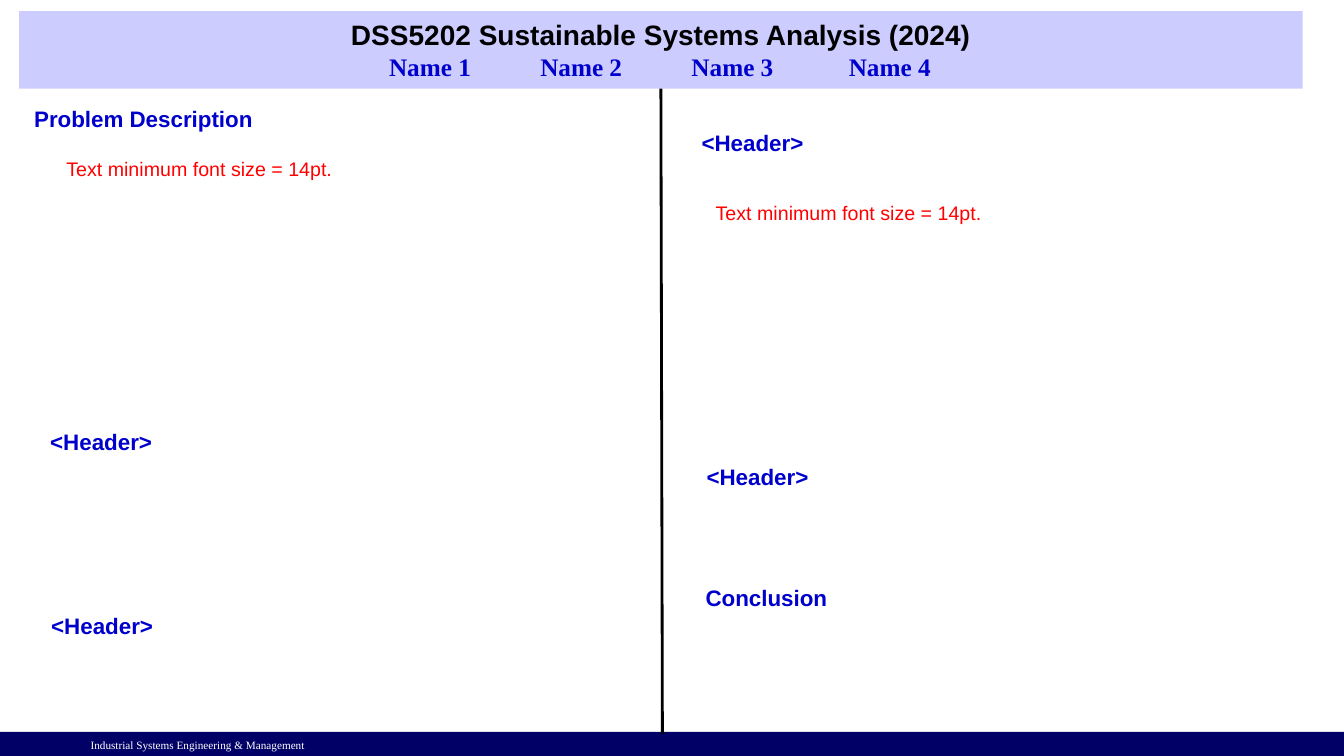
from lxml import etree
from pptx import Presentation
from pptx.dml.color import RGBColor
from pptx.enum.shapes import MSO_CONNECTOR, MSO_SHAPE
from pptx.enum.text import MSO_ANCHOR, PP_ALIGN
from pptx.oxml.ns import qn
from pptx.util import Inches, Pt

RECTANGLE = MSO_SHAPE.RECTANGLE
STRAIGHT = MSO_CONNECTOR.STRAIGHT
MIDDLE = MSO_ANCHOR.MIDDLE
CENTER = PP_ALIGN.CENTER
LEFT = PP_ALIGN.LEFT

COLORS = {
    "band": "CCCCFF",
    "footer": "000066",
    "title": "000000",
    "heading": "0000CC",
    "hint": "FF0000",
    "white": "FFFFFF",
}
SANS = "Arial"
SERIF = "Times New Roman"
HINT = "Text minimum font size = 14pt."
NAMES = ["Name 1", "Name 2", "Name 3", "Name 4"]
NAME_STOPS = [3.57, 5.07, 6.57, 8.13]
BOTTOM_SIDE = 2


def rgb(name):
    return RGBColor.from_string(COLORS[name])


def write(paragraph, text, size, font, color, bold=False):
    paragraph.text = text
    for run in paragraph.runs:
        run.font.size = Pt(size)
        run.font.name = font
        run.font.bold = bold
        run.font.color.rgb = rgb(color)


def add_bar(slide, box, color):
    bar = slide.shapes.add_shape(RECTANGLE, *map(Inches, box))
    bar.shadow.inherit = False
    bar.fill.solid()
    bar.fill.fore_color.rgb = rgb(color)
    bar.line.fill.background()
    return bar


def add_label(slide, box, text, size, font, color, bold=False):
    label = slide.shapes.add_textbox(*map(Inches, box))
    label.text_frame.word_wrap = True
    write(label.text_frame.paragraphs[0], text, size, font, color, bold)


def set_tab_stops(paragraph, stops):
    properties = paragraph._p.get_or_add_pPr()
    tab_list = etree.SubElement(properties, qn("a:tabLst"))
    for stop in stops:
        etree.SubElement(tab_list, qn("a:tab"), pos=str(Inches(stop)), algn="l")


def add_title_band(slide, box):
    band = add_bar(slide, box, "band")
    frame = band.text_frame
    frame.word_wrap = True
    frame.vertical_anchor = MIDDLE
    title = frame.paragraphs[0]
    title.alignment = CENTER
    write(title, "DSS5202 Sustainable Systems Analysis (2024)", 20, SANS, "title", True)
    authors = frame.add_paragraph()
    authors.alignment = LEFT
    set_tab_stops(authors, NAME_STOPS)
    write(authors, "".join("\t" + name for name in NAMES), 18, SERIF, "heading", True)
    return band


def add_divider(slide, band, bottom):
    divider = slide.shapes.add_connector(
        STRAIGHT, Inches(6.55), Inches(0.88), *map(Inches, bottom))
    divider.begin_connect(band, BOTTOM_SIDE)
    divider.line.color.rgb = rgb("title")
    divider.line.width = Pt(2)
    etree.SubElement(divider._element.spPr, qn("a:effectLst"))


def add_column(slide, box, headings, hint):
    left, top, width, height = box
    for text, dx, dy, heading_width in headings:
        heading_box = (left + dx, top + dy, heading_width, 0.35)
        add_label(slide, heading_box, text, 16, SANS, "heading", True)
    dx, dy, hint_height = hint
    add_label(slide, (left + dx, top + dy, 4.44, hint_height), HINT, 14, SANS, "hint")


def add_footer(slide, box):
    left, top, width, height = box
    add_bar(slide, box, "footer")
    add_label(slide, (left + 0.8, top + 0.02, 3.54, 0.23),
              "Industrial Systems Engineering & Management", 8, SERIF, "white")


def main():
    deck = Presentation()
    deck.slide_width = Inches(13.33)
    deck.slide_height = Inches(7.5)
    slide = deck.slides.add_slide(deck.slide_layouts[6])
    add_footer(slide, (0, 7.26, 13.33, 0.24))
    band = add_title_band(slide, (0.19, 0.11, 12.73, 0.77))
    add_divider(slide, band, (6.57, 7.28))
    add_column(slide, (0.24, 0.99, 6.2, 6.2), [
        ("Problem Description", 0, 0, 3.19),
        ("<Header>", 0.16, 3.21, 2.3),
        ("<Header>", 0.17, 5.03, 2.3),
    ], (0.32, 0.52, 1.01))
    add_column(slide, (6.86, 1.23, 6.2, 6), [
        ("<Header>", 0, 0, 2.3),
        ("<Header>", 0.05, 3.32, 2.3),
        ("Conclusion", 0.04, 4.52, 2.67),
    ], (0.14, 0.71, 0.59))
    deck.save("out.pptx")


if __name__ == "__main__":
    main()
